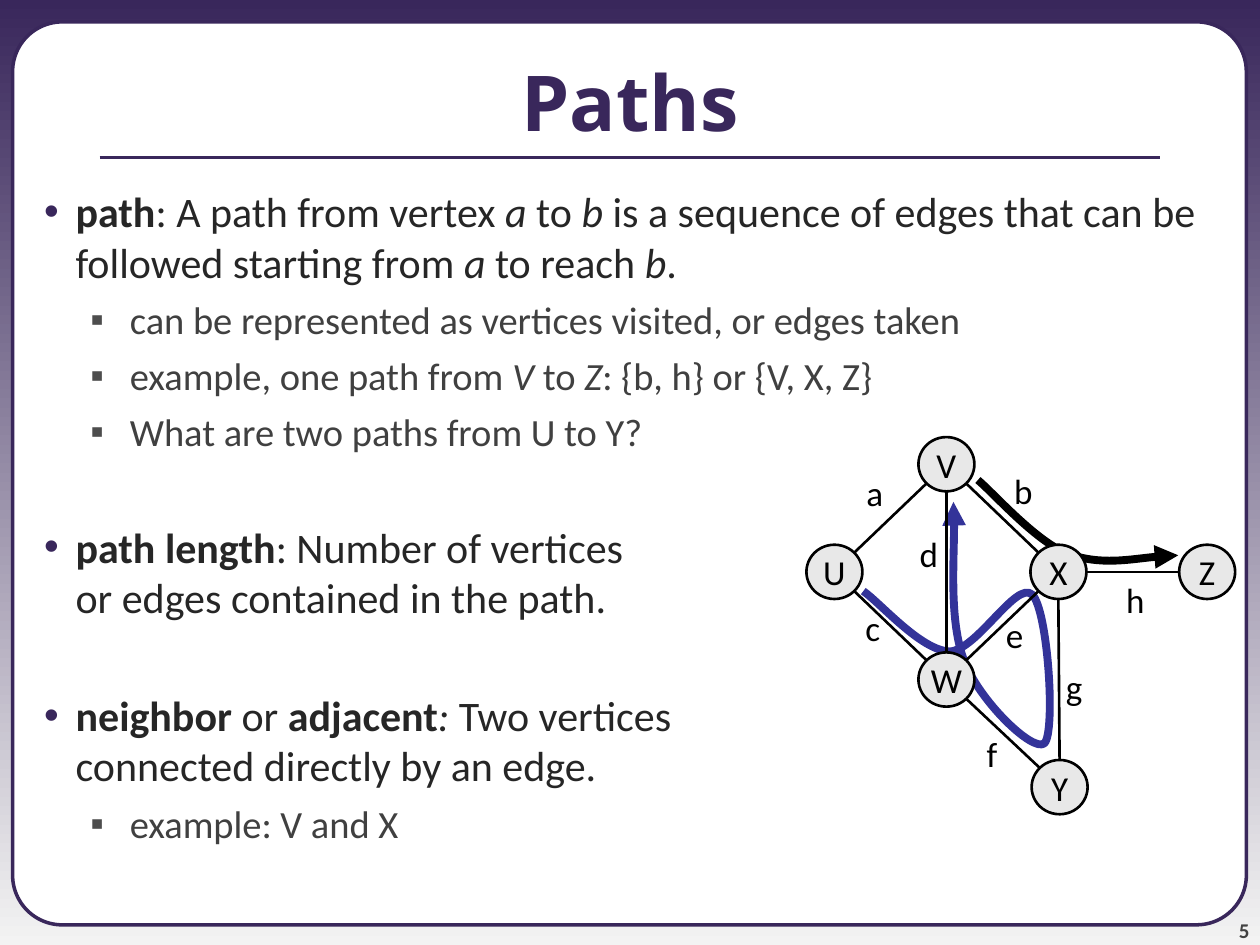
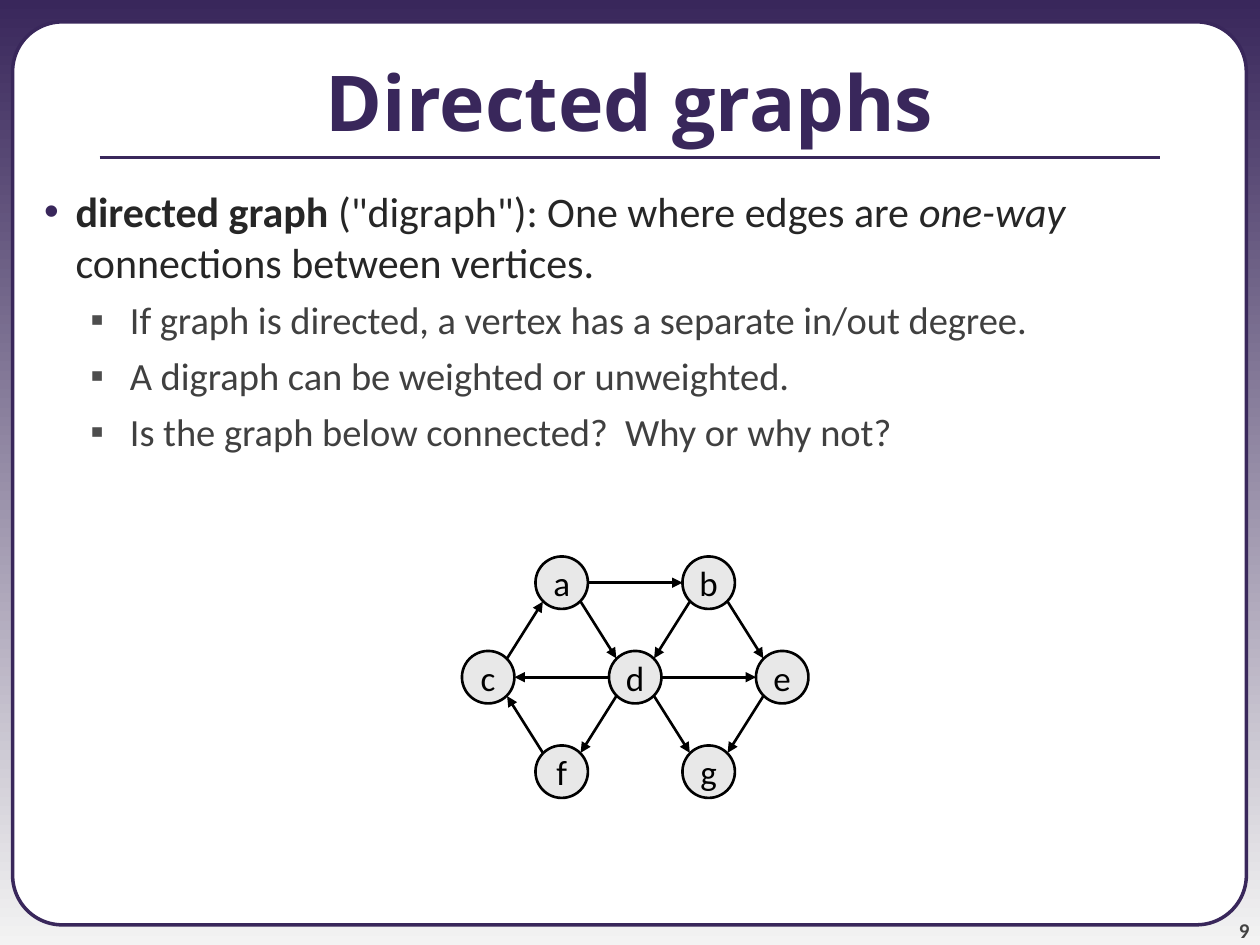
from copy import deepcopy

from lxml import etree
from pptx import Presentation
from pptx.dml.color import RGBColor
from pptx.enum.shapes import MSO_CONNECTOR, MSO_SHAPE
from pptx.enum.text import MSO_ANCHOR, MSO_AUTO_SIZE, PP_ALIGN
from pptx.oxml.ns import qn
from pptx.util import Pt

STRAIGHT = MSO_CONNECTOR.STRAIGHT
OVAL, ROUNDED = MSO_SHAPE.OVAL, MSO_SHAPE.ROUNDED_RECTANGLE
MIDDLE, BOTTOM = MSO_ANCHOR.MIDDLE, MSO_ANCHOR.BOTTOM
CENTER, RIGHT = PP_ALIGN.CENTER, PP_ALIGN.RIGHT
NO_AUTOFIT = MSO_AUTO_SIZE.NONE

PURPLE, PALE, WHITE, BLACK = "39275B", "F3F3F3", "FFFFFF", "000000"
NODE_FILL, TRAIL, PAGE_GREY = "E8E8E8", "333399", "424242"
BODY_FONT, TITLE_FONT = "Calibri", "Open Sans"

# Per list level: size, text colour, bullet, bullet colour, left, hanging, space before
LEVELS = [
    (24, "262626", "•", PURPLE, 36, 18, 6),
    (22, "404040", "▪", "4D4D4D", 67, 22.5, 5.5),
]
GROUP_GAP = 38.5  # space before a new group of points


# ---- Formatting helpers ----
def rgb(value):
    return RGBColor.from_string(value)


def style_font(font, size, color, name=BODY_FONT, bold=False, italic=False):
    font.size, font.name = Pt(size), name
    font.bold, font.italic = bold, italic
    font.color.rgb = rgb(color)


def style_line(line, color, width, head=False, tail=False):
    line.color.rgb = rgb(color)
    line.width = Pt(width)
    for tag, wanted in (("a:headEnd", head), ("a:tailEnd", tail)):
        if wanted:
            etree.SubElement(line._get_or_add_ln(), qn(tag), type="triangle")


def place(shape, left, top, width, height):
    shape.left, shape.top = Pt(left), Pt(top)
    shape.width, shape.height = Pt(width), Pt(height)


def add_line(slide, start, end, width, color=BLACK, arrow=False):
    connector = slide.shapes.add_connector(STRAIGHT, *map(Pt, (*start, *end)))
    style_line(connector.line, color, width, tail=arrow)
    etree.SubElement(connector._element.spPr, qn("a:effectLst"))
    return connector


def add_label(slide, text, box, size, color, align, bold=False):
    label = slide.shapes.add_textbox(*map(Pt, box))
    frame = label.text_frame
    frame.word_wrap = True
    frame.margin_left = frame.margin_right = 0
    frame.text = text
    paragraph = frame.paragraphs[0]
    paragraph.alignment = align
    style_font(paragraph.runs[0].font, size, color, bold=bold)
    return label


# ---- Shared page parts ----
def set_background(master):
    fill = master.background.fill
    fill.gradient()
    fill.gradient_angle = 270
    for stop, color, position in zip(fill.gradient_stops, (PURPLE, PALE), (0, 1)):
        stop.color.rgb = rgb(color)
        stop.position = position


def add_frame(slide, page):
    panel = slide.shapes.add_shape(ROUNDED, *map(Pt, (7.2, 12.5, 705, 516)))
    panel.adjustments[0] = 0.055
    panel.shadow.inherit = False
    panel.fill.solid()
    panel.fill.fore_color.rgb = rgb(WHITE)
    style_line(panel.line, PURPLE, 2)

    number = add_label(slide, page, (654, 510, 60, 28.5), 12, PAGE_GREY, RIGHT, bold=True)
    number.text_frame.vertical_anchor = BOTTOM
    number.text_frame.margin_top = number.text_frame.margin_bottom = 0

    rule = add_line(slide, (57, 90), (663, 90), 2.25, PURPLE)
    # The frame lies behind the placeholders
    for position, part in enumerate((panel, number, rule), start=2):
        slide.shapes._spTree.insert(position, part._element)


def fill_title(title, text):
    place(title, 0, 12.5, 720, 90)
    frame = title.text_frame
    frame.auto_size = NO_AUTOFIT
    frame.vertical_anchor = MIDDLE
    frame.text = text
    paragraph = frame.paragraphs[0]
    paragraph.alignment = CENTER
    style_font(paragraph.runs[0].font, 44, PURPLE, TITLE_FONT, bold=True)


def format_point(paragraph, level, starts_group):
    _, _, bullet, bullet_color, left, hanging, before = LEVELS[level]
    paragraph.level = level
    paragraph.space_before = Pt(GROUP_GAP if starts_group else before)
    props = paragraph._p.get_or_add_pPr()
    props.set("marL", str(Pt(left)))
    props.set("indent", str(-Pt(hanging)))
    color = etree.SubElement(props, qn("a:buClr"))
    etree.SubElement(color, qn("a:srgbClr"), val=bullet_color)
    etree.SubElement(props, qn("a:buChar"), char=bullet)


def fill_points(body, points):
    """Each point is a level and pieces of text; a piece is a string or (style, string)."""
    place(body, 0, 102.5, 720, 437.5)
    frame = body.text_frame
    frame.auto_size = NO_AUTOFIT
    for index, (level, *pieces) in enumerate(points):
        paragraph = frame.add_paragraph() if index else frame.paragraphs[0]
        format_point(paragraph, level, index > 0 and level == 0)
        size, color = LEVELS[level][:2]
        for piece in pieces:
            style, text = ("", piece) if isinstance(piece, str) else piece
            for row, words in enumerate(text.split("\n")):
                if row:
                    paragraph.add_line_break()
                run = paragraph.add_run()
                run.text = words
                style_font(run.font, size, color, bold=style == "b", italic=style == "i")
        for line_break in paragraph._p.findall(qn("a:br")):
            line_break.append(deepcopy(paragraph.runs[-1]._r.rPr))


def add_page(prs, page, title, points):
    slide = prs.slides.add_slide(prs.slide_layouts[1])
    add_frame(slide, page)
    fill_title(slide.shapes.title, title)
    fill_points(slide.placeholders[1], points)
    return slide


# ---- Graph parts ----
def add_node(slide, name, left, top, width, height):
    node = slide.shapes.add_shape(OVAL, *map(Pt, (left, top, width, height)))
    node.shadow.inherit = False
    node.fill.solid()
    node.fill.fore_color.rgb = rgb(NODE_FILL)
    style_line(node.line, BLACK, 1.5)
    frame = node.text_frame
    frame.word_wrap = False
    frame.vertical_anchor = MIDDLE
    frame.text = name
    frame.paragraphs[0].alignment = CENTER
    style_font(frame.paragraphs[0].runs[0].font, 20, BLACK)


def direction(distance):
    return 0 if abs(distance) < 5 else (1 if distance > 0 else -1)


def add_graph(slide, origin, node_size, spots, edges, arrows):
    """Draws nodes at their offsets from origin, and edges between their rims."""
    width, height = node_size
    corners = {name: (origin[0] + x, origin[1] + y) for name, (x, y) in spots.items()}
    for name, corner in corners.items():
        add_node(slide, name, *corner, width, height)
    for first, last in edges:
        (x1, y1), (x2, y2) = corners[first], corners[last]
        across, down = direction(x2 - x1), direction(y2 - y1)
        reach = 0.36 if across and down else 0.5
        dx, dy = across * reach * width, down * reach * height
        start = (x1 + width / 2 + dx, y1 + height / 2 + dy)
        end = (x2 + width / 2 - dx, y2 + height / 2 - dy)
        add_line(slide, start, end, 1.5, arrow=arrows)


def add_trail(slide, origin, points, color, head=False, tail=False):
    """Draws a Bezier curve: a start, then two handles and an end for each bend."""
    vertices = [(Pt(origin[0] + x), Pt(origin[1] + y)) for x, y in points]
    builder = slide.shapes.build_freeform(*vertices[0])
    builder.add_line_segments(vertices[1:], close=False)
    trail = builder.convert_to_shape()
    trail.shadow.inherit = False
    trail.fill.background()
    style_line(trail.line, color, 4.5, head, tail)
    segments = list(trail._element.iter(qn("a:lnTo")))
    for first in range(0, len(segments), 3):
        bend, *others = segments[first:first + 3]
        bend.tag = qn("a:cubicBezTo")
        for other in others:
            bend.append(other[0])
            other.getparent().remove(other)


# ---- Slides ----
def add_paths_slide(prs):
    slide = add_page(prs, "5", "Paths", [
        (0, ("b", "path"), ": A path from vertex ", ("i", "a"), " to ", ("i", "b"),
         " is a sequence of edges that can be followed starting from ", ("i", "a"),
         " to reach ", ("i", "b"), "."),
        (1, "can be represented as vertices visited, or edges taken"),
        (1, "example, one path from ", ("i", "V"), " to ", ("i", "Z"),
         ": {b, h} or {V, X, Z}"),
        (1, "What are two paths from U to Y?"),
        (0, ("b", "path length"), ": Number of vertices\nor edges contained in the path."),
        (0, ("b", "neighbor "), "or ", ("b", "adjacent"), ("i", ": "),
         "Two vertices\nconnected directly by an edge."),
        (1, "example: V and X"),
    ])
    origin = (460.8, 249.8)
    u_to_v = [(84, 37), (85.5, 52), (81.5, 104.5), (90, 127.5),
              (98.5, 150.5), (129.5, 180.5), (136, 175),
              (142.5, 168.5), (138, 98.5), (129, 90),
              (120, 81.5), (97, 122.5), (81.5, 122.5),
              (65, 121.5), (42.5, 95), (32.5, 88)]
    v_to_z = [(98, 24.5), (106.5, 31.5), (130.5, 59), (149, 66.5),
              (168.5, 73.5), (199.5, 67.5), (212.5, 67.5)]
    add_trail(slide, origin, u_to_v, TRAIL, head=True)
    add_trail(slide, origin, v_to_z, BLACK, tail=True)

    column, row = 64, 61.5
    spots = {"X": (2 * column, row), "U": (0, row), "V": (column, 0),
             "W": (column, 2 * row), "Z": (213, row), "Y": (2 * column + 0.7, 3 * row)}
    edges = ["VU", "WU", "WX", "XZ", "VX", "VW", "WY", "XY"]
    add_graph(slide, origin, (32, 31), spots, edges, arrows=False)

    # Edge names: centre and top of each
    names = {"a": (39, 16), "c": (38, 93), "b": (124, 15), "e": (119, 97),
             "d": (70, 51), "f": (106, 165), "g": (153, 127), "h": (188, 77)}
    for name, (x, y) in names.items():
        box = (origin[0] + x - 12, origin[1] + y, 24, 31.5)
        add_label(slide, name, box, 20, BLACK, CENTER)


def add_digraph_slide(prs):
    slide = add_page(prs, "9", "Directed graphs", [
        (0, ("b", "directed graph "), "(\"digraph\"): One where edges are ",
         ("i", "one-way"), " connections between vertices."),
        (1, "If graph is directed, a vertex has a separate in/out degree."),
        (1, "A digraph can be weighted or unweighted."),
        (1, "Is the graph below connected?  Why or why not?"),
    ])
    cells = {"a": (1, 0), "b": (3, 0), "c": (0, 1), "d": (2, 1),
             "e": (4, 1), "f": (1, 2), "g": (3, 2)}
    spots = {name: (42 * column, 54 * row) for name, (column, row) in cells.items()}
    edges = ["ca", "ab", "ad", "bd", "be", "de", "dg", "eg", "df", "fc", "dc"]
    add_graph(slide, (264, 318), (30, 30), spots, edges, arrows=True)


def main():
    prs = Presentation()
    prs.slide_width, prs.slide_height = Pt(720), Pt(540)
    set_background(prs.slide_master)
    add_paths_slide(prs)
    add_digraph_slide(prs)
    prs.save("out.pptx")


if __name__ == "__main__":
    main()
